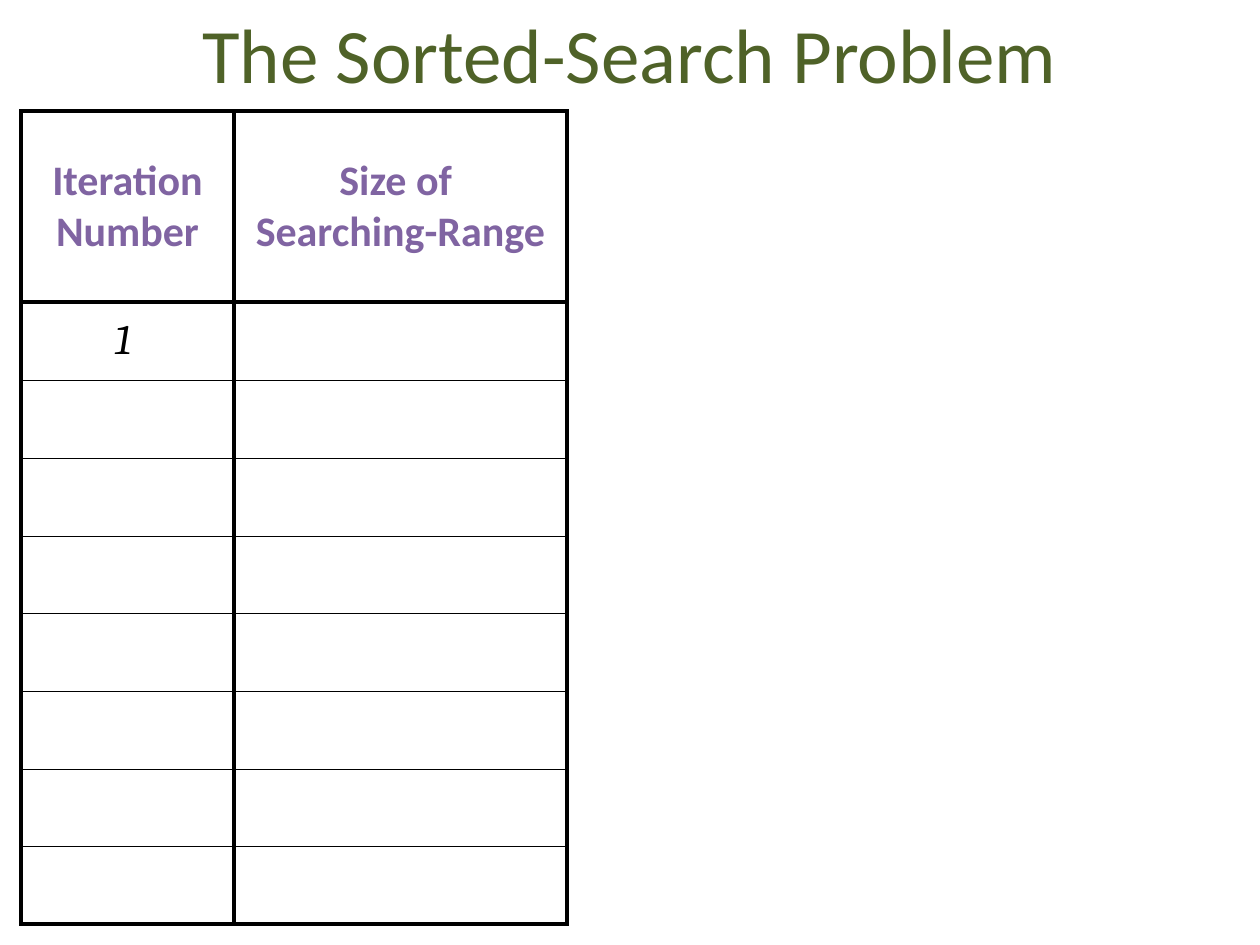
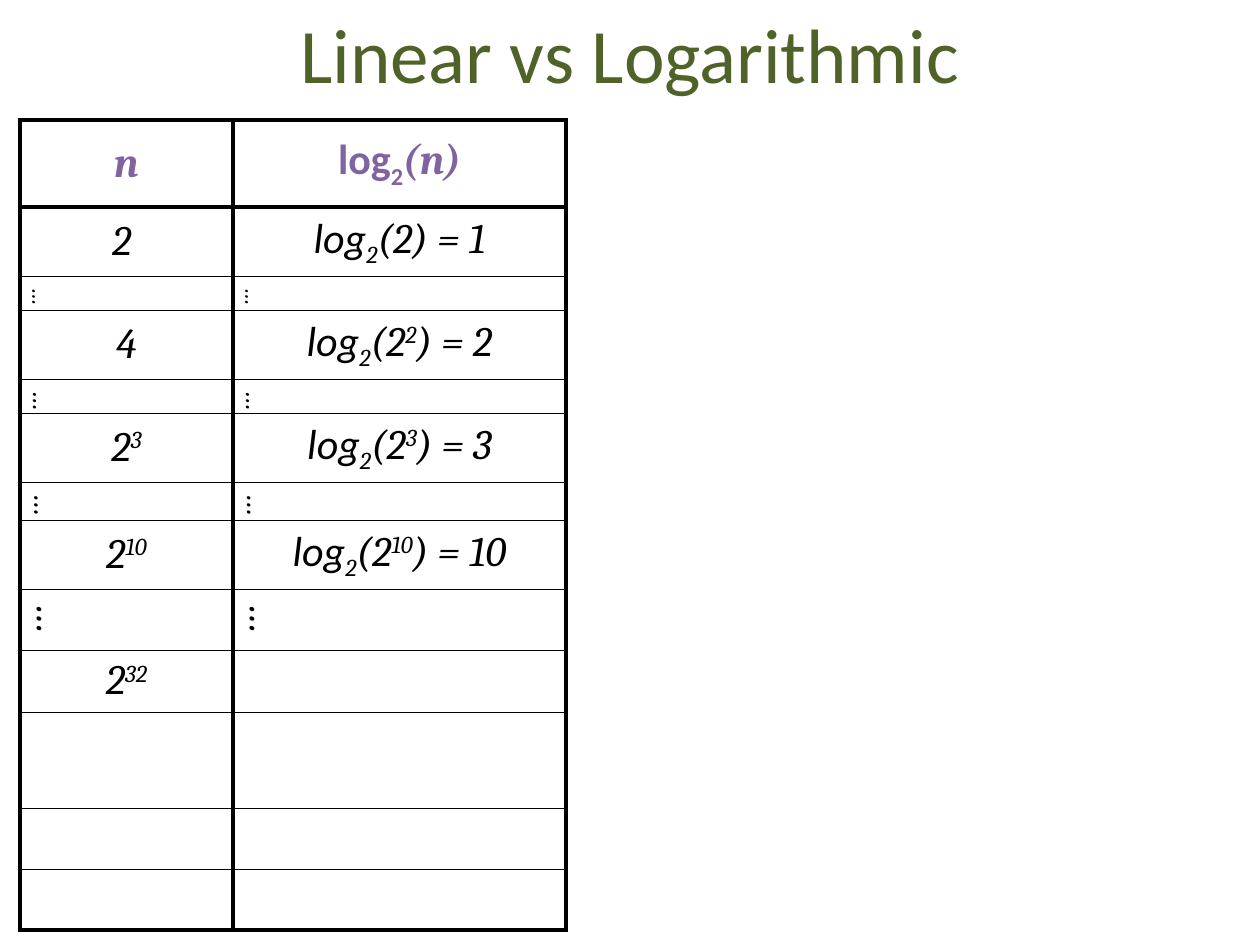
from pptx import Presentation
from pptx.dml.color import RGBColor
from pptx.enum.text import MSO_ANCHOR, PP_ALIGN
from pptx.oxml import parse_xml
from pptx.oxml.ns import nsdecls
from pptx.util import Pt

SCALE = 914400 // 126
TITLE, HEAD, INK = "4F6228", "8064A2", "000000"
SANS, SERIF = "Calibri", "Cambria"
SUB, SUP = -25000, 30000
THICK, THIN = 2.25, 0.5
COLS = [213, 333]


def px(count):
    """Turn pixels into EMU."""
    return count * SCALE


def paint(color, tint):
    """Give a colour format a hex colour."""
    color.rgb = RGBColor.from_string(tint)


def style(font, tint, **form):
    """Set the colour and the other format values of a font."""
    for key, value in form.items():
        setattr(font, key, value)
    paint(font.color, tint)


def piece(text, name=SERIF, base=0, tint=INK, bold=False, italic=True, size=24):
    """Describe one run of cell text."""
    form = dict(name=name, bold=bold, italic=italic, size=Pt(size))
    return text, base, tint, form


def head(text, name=SANS, base=0, italic=False):
    """Describe one run of header text."""
    return piece(text, name, base, HEAD, True, italic)


def power(num, exp):
    """Describe a number raised to a power."""
    return [piece(num)] + ([piece(exp, base=SUP)] if exp else [])


def log(exp, value):
    """Describe the base-two logarithm of a power of two."""
    start = [piece("log", SANS), piece("2", base=SUB)]
    return start + power("(2", exp) + [piece(f") = {value}")]


def dots(size):
    """Describe a row of turned ellipses."""
    return [[piece("…", size=size)]] * 2


def write(cell, parts):
    """Fill a cell with centred runs; a newline in a run breaks the line."""
    cell.vertical_anchor = MSO_ANCHOR.MIDDLE
    para = cell.text_frame.paragraphs[0]
    para.alignment = PP_ALIGN.CENTER
    for text, base, tint, form in parts:
        for spot, line in enumerate(text.split("\n")):
            if spot:
                para.add_line_break()
            run = para.add_run()
            run.text = line
            style(run.font, tint, **form)
            if base:
                run._r.get_or_add_rPr().set("baseline", str(base))
        if text == "…":
            cell._tc.get_or_add_tcPr().set("vert", "vert")


def rule(cell, top, bottom):
    """Draw the four borders of a cell."""
    props = cell._tc.get_or_add_tcPr()
    for side, width in zip("LRTB", (THICK, THICK, top, bottom)):
        props.append(parse_xml(
            f'<a:ln{side} {nsdecls("a")} w="{Pt(width)}"><a:solidFill>'
            f'<a:srgbClr val="{INK}"/></a:solidFill></a:ln{side}>'))
    cell.fill.background()


def add_grid(slide, left, top, heights, rows):
    """Place a ruled two-column table; rows past the given ones stay empty."""
    count = len(heights)
    box = map(px, (left, top, sum(COLS), sum(heights)))
    table = slide.shapes.add_table(count, len(COLS), *box).table
    table.first_row = table.horz_banding = False
    for col, width in zip(table.columns, COLS):
        col.width = px(width)
    for spot, (row, height) in enumerate(zip(table.rows, heights)):
        row.height = px(height)
        for cell in row.cells:
            rule(cell, THICK if spot < 2 else THIN,
                 THICK if spot in (0, count - 1) else THIN)
    for row, texts in zip(table.rows, rows):
        for cell, parts in zip(row.cells, texts):
            write(cell, parts)


def add_page(deck, text):
    """Add a slide with the shared title."""
    slide = deck.slides.add_slide(deck.slide_layouts[5])
    title = slide.shapes.title
    box = dict(left=63, top=-26, width=1134, height=158)
    for key, value in box.items():
        setattr(title, key, px(value))
    frame = title.text_frame
    frame.text = text
    frame.vertical_anchor = MSO_ANCHOR.MIDDLE
    para = frame.paragraphs[0]
    para.alignment = PP_ALIGN.CENTER
    style(para.runs[0].font, TITLE, name=SANS, size=Pt(44))
    return slide


def add_search(deck):
    """Build the slide that counts the search iterations."""
    slide = add_page(deck, "The Sorted-Search Problem")
    rows = [
        [[head("Iteration Number")], [head("Size of \nSearching-Range")]],
        [[piece("1 ")]],
    ]
    add_grid(slide, 21, 111, [191] + [78, 78, 78, 77] * 2, rows)


def add_growth(deck):
    """Build the slide that sets numbers beside their logarithms."""
    slide = add_page(deck, "Linear vs Logarithmic")
    rows = [
        [[head("n", SERIF, italic=True)],
         [head("log"), head("2", base=SUB), head("(n)", SERIF, italic=True)]],
        [power("2 ", ""), log("", 1)],
        dots(14),
        [power("4", ""), log("2", 2)],
        dots(16),
        [power("2", "3"), log("3", 3)],
        dots(18),
        [power("2", "10"), log("10", 10)],
        dots(24),
        [power("2", "32")],
    ]
    heights = [87, 69, 34, 69, 34, 69, 38, 69, 61, 62, 96, 61, 61]
    add_grid(slide, 20, 120, heights, rows)


def main():
    """Build and save the deck."""
    deck = Presentation()
    deck.slide_width, deck.slide_height = px(1260), px(945)
    add_search(deck)
    add_growth(deck)
    deck.save("out.pptx")


if __name__ == "__main__":
    main()
